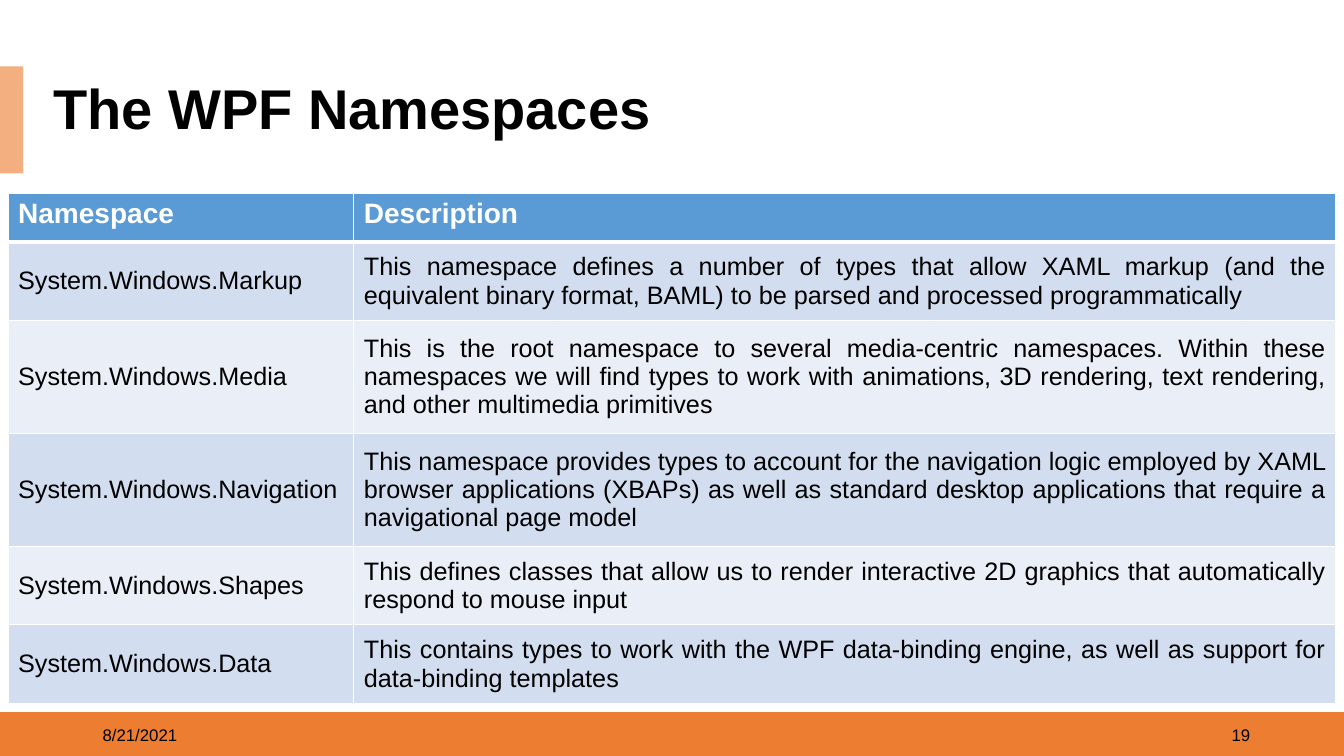
from pptx import Presentation
from pptx import util as u
from pptx.dml.color import RGBColor
from pptx.enum import shapes, text
from pptx.oxml import parse_xml
from pptx.oxml.ns import nsdecls

WIDE, HIGH = u.Inches(13.33), u.Inches(7.5)
FONT = "Arial"
HUES = {
    "ink": "000000", "white": "FFFFFF", "foot": "ED7D31", "tab": "F4AF80",
    "head": "5B9BD5", "odd": "D2DEEF", "even": "EAEFF7",
}
LEFT, RIGHT, FULL = text.PP_ALIGN.LEFT, text.PP_ALIGN.RIGHT, text.PP_ALIGN.JUSTIFY
TOP, MID = text.MSO_ANCHOR.TOP, text.MSO_ANCHOR.MIDDLE

# Column widths and row heights, in percent of the slide
COLS = (25.73, 73.07)
HEAD = 6.4
TALL = {2: 10.4, 3: 14.93}  # by number of text lines

# Border widths in points
THIN, THICK = 1, 3

TITLES = ("Namespace", "Description")

# Name, number of text lines, description
ROWS = [
    ("Markup", 2, "This namespace defines a number of types that allow XAML markup "
     "(and the equivalent binary format, BAML) to be parsed and processed programmatically"),
    ("Media", 3, "This is the root namespace to several media-centric namespaces. "
     "Within these namespaces we will find types to work with animations, 3D rendering, "
     "text rendering, and other multimedia primitives"),
    ("Navigation", 3, "This namespace provides types to account for the navigation logic "
     "employed by XAML browser applications (XBAPs) as well as standard desktop "
     "applications that require a navigational page model"),
    ("Shapes", 2, "This defines classes that allow us to render interactive 2D graphics "
     "that automatically respond to mouse input"),
    ("Data", 2, "This contains types to work with the WPF data-binding engine, "
     "as well as support for data-binding templates"),
]


def hue(name):
    return RGBColor.from_string(HUES[name])


def across(share):
    return int(WIDE * share / 100)


def down(share):
    return int(HIGH * share / 100)


def place(x, y, w, h):
    return across(x), down(y), across(w), down(h)


def paint(thing, color):
    thing.fill.solid()
    thing.fill.fore_color.rgb = hue(color)


def write(frame, words, size=18, bold=False, color="ink", align=LEFT, gap=None):
    para = frame.paragraphs[0]
    para.alignment = align
    para.line_spacing = gap
    run = para.add_run()
    run.text = words
    font = run.font
    font.name, font.size, font.bold = FONT, u.Pt(size), bold
    font.color.rgb = hue(color)


def bar(slide, box, color):
    rect = slide.shapes.add_shape(shapes.MSO_SHAPE.RECTANGLE, *place(*box))
    rect.shadow.inherit = False
    rect.line.fill.background()
    paint(rect, color)


def label(slide, box, words, **style):
    frame = slide.shapes.add_textbox(*place(*box)).text_frame
    frame.word_wrap = True
    frame.vertical_anchor = MID
    write(frame, words, **style)


def edge(cell, top, bottom):
    props = cell._tc.get_or_add_tcPr()
    for side, wide in {"L": THIN, "R": THIN, "T": top, "B": bottom}.items():
        props.append(parse_xml(
            f'<a:ln{side} {nsdecls("a")} w="{u.Pt(wide)}"><a:solidFill>'
            f'<a:srgbClr val="{HUES["white"]}"/></a:solidFill></a:ln{side}>'))


def fill(cell, words, back, anchor=MID, top=THIN, bottom=THIN, **style):
    edge(cell, top, bottom)  # borders must come before the fill in the XML
    paint(cell, back)
    cell.vertical_anchor = anchor
    write(cell.text_frame, words, **style)


def grid(slide, x, y):
    tall = [HEAD] + [TALL[lines] for _, lines, _ in ROWS]
    box = place(x, y, sum(COLS), sum(tall))
    table = slide.shapes.add_table(len(tall), len(COLS), *box).table
    for col, share in zip(table.columns, COLS):
        col.width = across(share)
    for row, share in zip(table.rows, tall):
        row.height = down(share)

    # Header row, with a thick rule below it
    for c, words in enumerate(TITLES):
        fill(table.cell(0, c), words, "head", anchor=TOP, bottom=THICK,
             size=20, bold=True, color="white")

    # Body rows in alternating bands
    for r, (name, _, words) in enumerate(ROWS, 1):
        band = "odd" if r % 2 else "even"
        top = THICK if r == 1 else THIN
        fill(table.cell(r, 0), "System.Windows." + name, band, top=top)
        fill(table.cell(r, 1), words, band, top=top, align=FULL)


def main():
    deck = Presentation()
    deck.slide_width, deck.slide_height = WIDE, HIGH
    slide = deck.slides.add_slide(deck.slide_layouts[6])

    # Footer band and title tab
    bar(slide, (0, 94.2, 100, 5.8), "foot")
    bar(slide, (0, 8.8, 1.73, 14.13), "tab")

    # Date and slide number share a row in the footer
    for x, words, align in ((6.9, "8/21/2021", LEFT), (71.27, "19", RIGHT)):
        label(slide, (x, 94.53, 22.5, 5.33), words, size=12, align=align)

    # Title
    label(slide, (3.23, 10.53, 96.77, 8.4), "The WPF Namespaces",
          size=40, bold=True, gap=0.9)

    # Table of namespaces
    grid(slide, 0.6, 25.6)
    deck.save("out.pptx")


if __name__ == "__main__":
    main()
